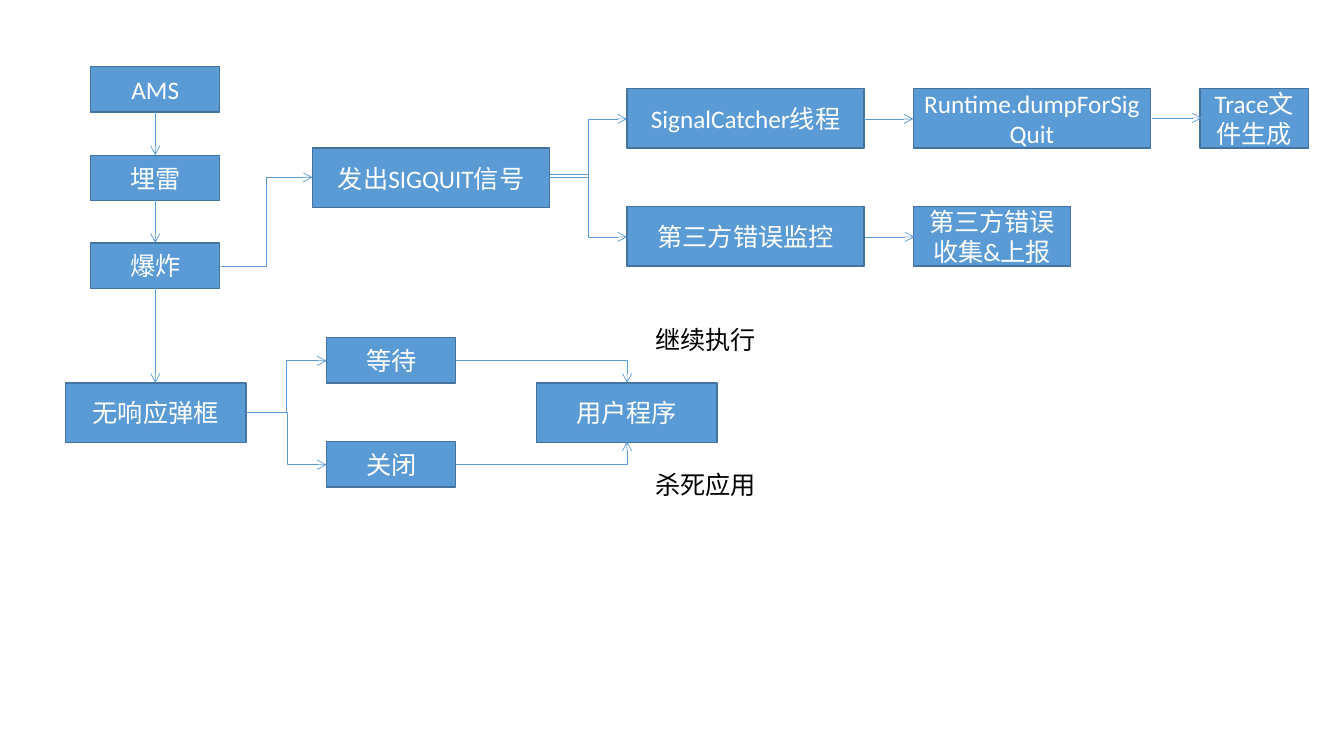
from dataclasses import dataclass

from lxml.etree import SubElement
from pptx import Presentation
from pptx.dml.color import RGBColor
from pptx.enum.shapes import MSO_CONNECTOR, MSO_SHAPE
from pptx.enum.text import MSO_ANCHOR, MSO_AUTO_SIZE, PP_ALIGN
from pptx.oxml.ns import qn
from pptx.util import Pt

EMU_PER_PX = 9144  # 100 px to the inch


def px(length):
    return length * EMU_PER_PX


@dataclass(frozen=True)
class Theme:
    font: str = "Calibri"
    text_size: float = 18
    box_fill: RGBColor = RGBColor(0x5B, 0x9B, 0xD5)
    box_line: RGBColor = RGBColor(0x43, 0x73, 0x9E)
    box_text: RGBColor = RGBColor(0xFF, 0xFF, 0xFF)
    label_text: RGBColor = RGBColor(0x00, 0x00, 0x00)
    box_line_width: float = 1
    arrow_width: float = 0.5


class FlowSlide:
    def __init__(self, slide, theme):
        self.shapes = slide.shapes
        self.theme = theme

    def set_text(self, shape, text, color, align):
        paragraph = shape.text_frame.paragraphs[0]
        paragraph.text = text
        paragraph.alignment = align
        paragraph.font.name = self.theme.font
        paragraph.font.size = Pt(self.theme.text_size)
        paragraph.font.color.rgb = color

    def box(self, text, left, top, width, height):
        shape = self.shapes.add_shape(
            MSO_SHAPE.RECTANGLE, px(left), px(top), px(width), px(height))
        shape.shadow.inherit = False
        shape.fill.solid()
        shape.fill.fore_color.rgb = self.theme.box_fill
        shape.line.color.rgb = self.theme.box_line
        shape.line.width = Pt(self.theme.box_line_width)
        shape.text_frame.word_wrap = True
        shape.text_frame.vertical_anchor = MSO_ANCHOR.MIDDLE
        self.set_text(shape, text, self.theme.box_text, PP_ALIGN.CENTER)

    def label(self, text, left, top, width, height):
        shape = self.shapes.add_textbox(px(left), px(top), px(width), px(height))
        shape.text_frame.word_wrap = False
        shape.text_frame.auto_size = MSO_AUTO_SIZE.SHAPE_TO_FIT_TEXT
        self.set_text(shape, text, self.theme.label_text, PP_ALIGN.LEFT)

    def arrow(self, start, end, kind=MSO_CONNECTOR.STRAIGHT):
        connector = self.shapes.add_connector(kind, *map(px, start + end))
        connector.line.color.rgb = self.theme.box_fill
        connector.line.width = Pt(self.theme.arrow_width)
        properties = connector._element.spPr
        SubElement(properties.find(qn("a:ln")), qn("a:tailEnd"), type="arrow")
        SubElement(properties, qn("a:effectLst"))
        return connector

    def elbow(self, start, end):
        return self.arrow(start, end, MSO_CONNECTOR.ELBOW)

    def corner(self, start, end):
        connector = self.elbow(start, end)
        connector._element.spPr.find(qn("a:prstGeom")).set("prst", "bentConnector2")


SMALL = (128, 45)
MEDIUM = (179, 59)
LARGE = (235, 59)

BOXES = [
    # Main column
    ("AMS", 90, 66, *SMALL),
    ("埋雷", 90, 154, *SMALL),
    ("爆炸", 90, 241, *SMALL),
    ("无响应弹框", 65, 380, *MEDIUM),
    # User choice
    ("等待", 324, 335, *SMALL),
    ("关闭", 324, 438, *SMALL),
    ("用户程序", 532, 380, *MEDIUM),
    # Signal handling
    ("发出SIGQUIT信号", 310, 147, *LARGE),
    ("SignalCatcher线程", 622, 88, *LARGE),
    ("第三方错误监控", 622, 205, *LARGE),
    ("第三方错误收集&上报", 906, 205, 156, 59),
    ("Runtime.dumpForSigQuit", 906, 88, *LARGE),
    ("Trace文件生成", 1190, 88, 108, 59),
]

LABELS = [("继续执行", 640, 317), ("杀死应用", 640, 461)]

STRAIGHT_ARROWS = [
    ((154, 111), (154, 154)),
    ((154, 198), (154, 241)),
    ((154, 286), (154, 380)),
    ((857, 118), (906, 118)),
    ((1143, 117), (1192, 117)),
    ((858, 235), (907, 235)),
]

ELBOW_ARROWS = [
    ((244, 409), (324, 358)),
    ((246, 409), (324, 461)),
    ((219, 264), (310, 176)),
    ((545, 176), (622, 118)),
    ((546, 173), (622, 235)),
]

CORNER_ARROWS = [
    ((452, 358), (622, 380)),
    ((452, 461), (622, 438)),
]


def main():
    presentation = Presentation()
    presentation.slide_width = px(1333)
    presentation.slide_height = px(750)
    blank_layout = presentation.slide_layouts[6]
    flow = FlowSlide(presentation.slides.add_slide(blank_layout), Theme())

    # Steps and outcomes
    for box in BOXES:
        flow.box(*box)
    for text, left, top in LABELS:
        flow.label(text, left, top, 120, 40)

    # Flow between the steps
    for start, end in STRAIGHT_ARROWS:
        flow.arrow(start, end)
    for start, end in ELBOW_ARROWS:
        flow.elbow(start, end)
    for start, end in CORNER_ARROWS:
        flow.corner(start, end)

    presentation.save("out.pptx")


if __name__ == "__main__":
    main()
